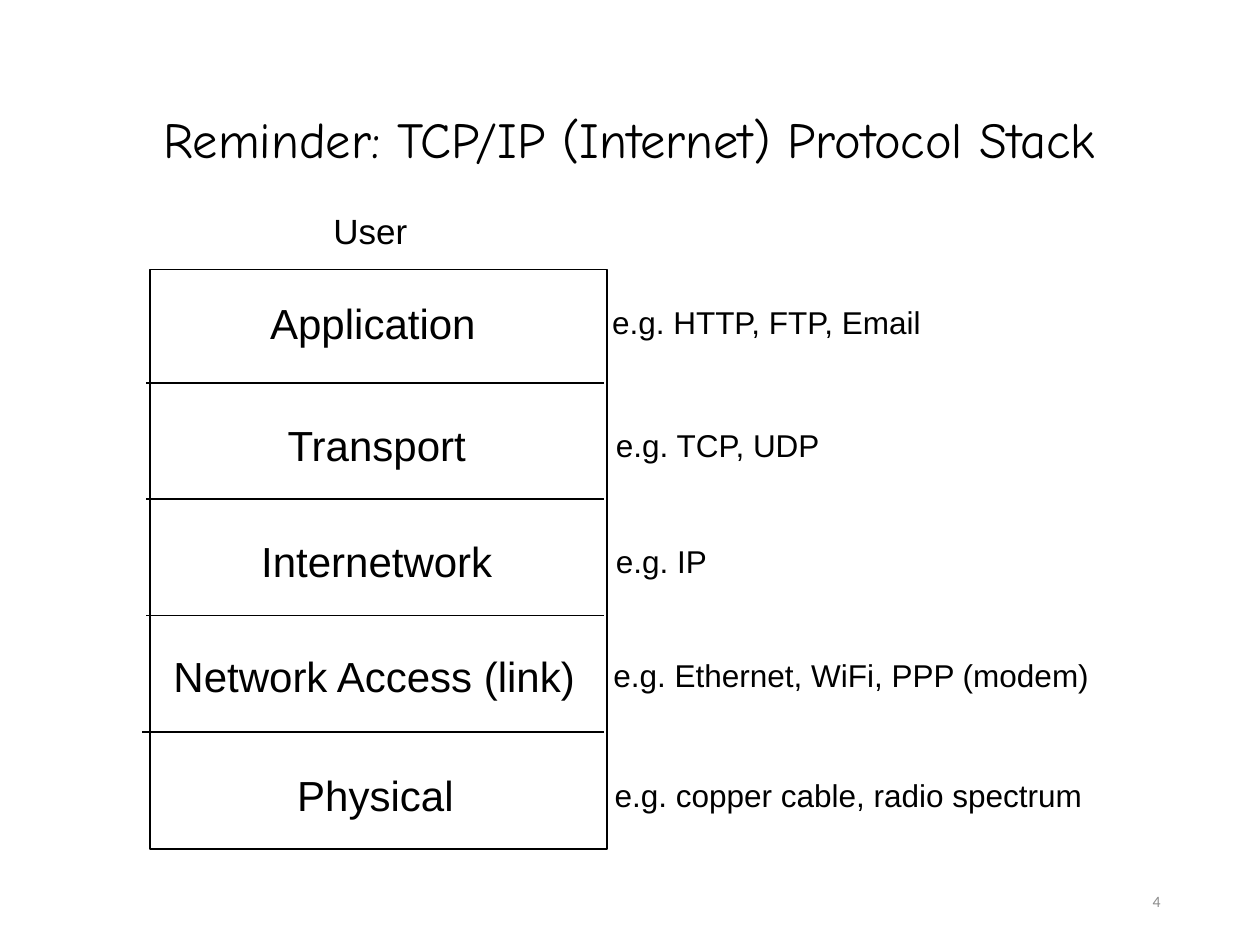
"""Build a slide showing the layers of the TCP/IP protocol stack."""
from dataclasses import dataclass

from lxml.etree import SubElement
from pptx import Presentation
from pptx.dml.color import RGBColor
from pptx.enum.shapes import MSO_CONNECTOR, MSO_SHAPE
from pptx.enum.text import MSO_ANCHOR, PP_ALIGN
from pptx.oxml.ns import qn
from pptx.slide import Slide
from pptx.util import Emu, Inches, Pt

BLACK = RGBColor(0x00, 0x00, 0x00)
GRAY = RGBColor(0x8C, 0x8C, 0x8C)
SLIDE_WIDTH, SLIDE_HEIGHT = Inches(10), Inches(7.5)
COLUMNS = 100
CELL = SLIDE_WIDTH / COLUMNS

STACK_LEFT, STACK_TOP, STACK_WIDTH, STACK_HEIGHT = 11.9, 21.4, 36.3, 46
DIVIDER_TOP, DIVIDER_STEP, DIVIDER_RIGHT = 30.4, 9.23, 47.9
NAME_WIDTH, NAME_HEIGHT = 36, 5
EXAMPLE_SHIFT, EXAMPLE_DROP, EXAMPLE_HEIGHT = 36, 0.5, 4


@dataclass(frozen=True)
class Layer:
    """A protocol layer, with its label position in grid cells."""
    name: str
    examples: str
    left: float
    top: float
    examples_width: float


LAYERS = [
    Layer("Application", "e.g. HTTP, FTP, Email", 11.6, 23.1, 39),
    Layer("Transport", "e.g. TCP, UDP", 11.9, 32.8, 26.6),
    Layer("Internetwork", "e.g. IP", 11.9, 42, 26.6),
    Layer("Network Access (link)", "e.g. Ethernet, WiFi, PPP (modem)", 11.7, 51.1, 40.2),
    Layer("Physical", "e.g. copper cable, radio spectrum", 11.8, 60.6, 40.1),
]
DIVIDER_LEFTS = [11.6, 11.6, 11.6, 11.3]


def cells(count: float) -> Emu:
    """Convert a number of grid cells to a length."""
    return Emu(round(count * CELL))


def add_text(slide: Slide, text: str, left: float, top: float, width: float,
             height: float, *, size: float, font: str = "Arial",
             color: RGBColor = BLACK, align: PP_ALIGN = PP_ALIGN.LEFT,
             anchor: MSO_ANCHOR = MSO_ANCHOR.TOP, line_spacing: float = 1.0) -> None:
    """Add a wrapped one-paragraph text box."""
    box = slide.shapes.add_textbox(cells(left), cells(top), cells(width), cells(height))
    frame = box.text_frame
    frame.word_wrap = True
    frame.vertical_anchor = anchor
    paragraph = frame.paragraphs[0]
    paragraph.alignment = align
    paragraph.line_spacing = line_spacing
    run = paragraph.add_run()
    run.text = text
    run.font.name = font
    run.font.size = Pt(size)
    run.font.color.rgb = color


def add_stack_outline(slide: Slide) -> None:
    """Add the unfilled frame around all layers."""
    outline = slide.shapes.add_shape(
        MSO_SHAPE.RECTANGLE, cells(STACK_LEFT), cells(STACK_TOP),
        cells(STACK_WIDTH), cells(STACK_HEIGHT))
    outline.shadow.inherit = False
    outline.fill.background()
    outline.line.color.rgb = BLACK
    outline.line.width = Pt(1)


def add_divider(slide: Slide, left: float, top: float) -> None:
    """Add a horizontal line between two layers."""
    divider = slide.shapes.add_connector(
        MSO_CONNECTOR.STRAIGHT, cells(left), cells(top), cells(DIVIDER_RIGHT), cells(top))
    divider.line.color.rgb = BLACK
    divider.line.width = Pt(1)
    SubElement(divider._element.spPr, qn("a:effectLst"))


def add_layer(slide: Slide, layer: Layer) -> None:
    """Add a layer's name and its examples."""
    add_text(slide, layer.name, layer.left, layer.top, NAME_WIDTH, NAME_HEIGHT,
             size=24, align=PP_ALIGN.CENTER)
    add_text(slide, layer.examples, layer.left + EXAMPLE_SHIFT, layer.top + EXAMPLE_DROP,
             layer.examples_width, EXAMPLE_HEIGHT, size=18)


def main() -> None:
    """Build and save the presentation."""
    presentation = Presentation()
    presentation.slide_width, presentation.slide_height = SLIDE_WIDTH, SLIDE_HEIGHT
    slide = presentation.slides.add_slide(presentation.slide_layouts[6])
    add_text(slide, "Reminder: TCP/IP (Internet) Protocol Stack", 10.6, 7.6, 78.7, 7.4,
             size=28.8, font="Comic Neue", align=PP_ALIGN.CENTER,
             anchor=MSO_ANCHOR.MIDDLE, line_spacing=0.9)
    add_text(slide, "4", 70.6, 69.5, 22.5, 4, size=9, font="Calibri", color=GRAY,
             align=PP_ALIGN.RIGHT, anchor=MSO_ANCHOR.MIDDLE)
    add_stack_outline(slide)
    for index, left in enumerate(DIVIDER_LEFTS):
        add_divider(slide, left, DIVIDER_TOP + index * DIVIDER_STEP)
    add_text(slide, "User", 11.4, 16.1, NAME_WIDTH, 4.3, size=20, align=PP_ALIGN.CENTER)
    for layer in LAYERS:
        add_layer(slide, layer)
    presentation.save("out.pptx")


if __name__ == "__main__":
    main()
